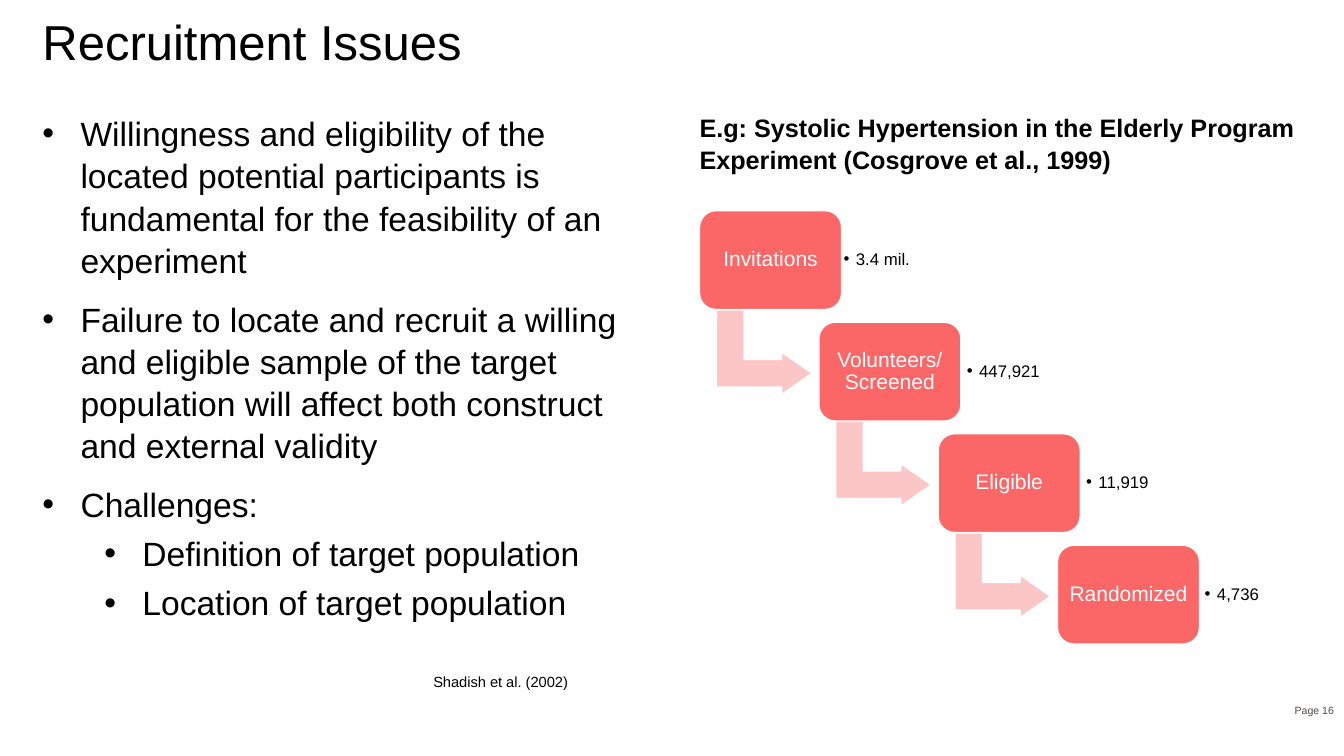
from dataclasses import dataclass

from lxml import etree
from pptx import Presentation
from pptx.dml.color import RGBColor
from pptx.enum.shapes import MSO_SHAPE
from pptx.enum.text import MSO_ANCHOR, PP_ALIGN
from pptx.oxml.ns import qn
from pptx.util import Cm, Pt

ROUNDED = MSO_SHAPE.ROUNDED_RECTANGLE
BENT_ARROW = MSO_SHAPE.BENT_UP_ARROW
TOP, MIDDLE, BOTTOM = MSO_ANCHOR.TOP, MSO_ANCHOR.MIDDLE, MSO_ANCHOR.BOTTOM
LEFT, CENTER, RIGHT = PP_ALIGN.LEFT, PP_ALIGN.CENTER, PP_ALIGN.RIGHT


@dataclass(frozen=True)
class Theme:
    """Colours, font and type sizes of the slide."""
    font: str = "Arial"
    ink: str = "000000"
    paper: str = "FFFFFF"
    step: str = "FB6666"
    arrow: str = "FDC6C6"
    muted: str = "524B48"
    title: float = 35
    body: float = 24
    heading: float = 18
    step_name: float = 15
    step_value: float = 12
    citation: float = 10.5
    page: float = 7.5


THEME = Theme()

BULLETS = [
    (0, "Willingness and eligibility of the located potential participants is "
        "fundamental for the feasibility of an experiment"),
    (0, "Failure to locate and recruit a willing and eligible sample of the target "
        "population will affect both construct and external validity"),
    (0, "Challenges:"),
    (1, "Definition of target population"),
    (1, "Location of target population"),
]
BULLET_INDENTS = (0.96, 2.52)
BULLET_SPACES = (11.5, 5)

STEPS = [
    ("Invitations", "3.4 mil.", 3.48),
    ("Volunteers/\nScreened", "447,921", 3.58),
    ("Eligible", "11,919", 3.58),
    ("Randomized", "4,736", 3.56),
]


def set_frame(shape, anchor=TOP, inset=0.0):
    """Set wrapping, anchor and equal insets, and return the text frame."""
    frame = shape.text_frame
    frame.word_wrap = True
    frame.vertical_anchor = anchor
    frame.margin_left = frame.margin_right = Cm(inset)
    frame.margin_top = frame.margin_bottom = Cm(inset)
    return frame


def add_text_box(slide, box, anchor=TOP, inset=0.0):
    """Add a text box at (left, top, width, height) and return its frame."""
    return set_frame(slide.shapes.add_textbox(*map(Cm, box)), anchor, inset)


def add_bullet(paragraph, indent, hanging):
    """Give a paragraph a round bullet with a hanging indent."""
    properties = paragraph._p.get_or_add_pPr()
    properties.set("marL", str(Cm(indent)))
    properties.set("indent", str(-Cm(hanging)))
    font = etree.SubElement(properties, qn("a:buFont"))
    font.set("typeface", THEME.font)
    bullet = etree.SubElement(properties, qn("a:buChar"))
    bullet.set("char", "•")


def write(paragraph, text, size, color=THEME.ink, bold=False, align=LEFT, spacing=1.0):
    """Write text into a paragraph, one run for each line."""
    paragraph.alignment = align
    paragraph.line_spacing = spacing
    for index, line in enumerate(text.split("\n")):
        if index:
            paragraph.add_line_break()
        run = paragraph.add_run()
        run.text = line
        run.font.name = THEME.font
        run.font.size = Pt(size)
        run.font.bold = bold
        run.font.color.rgb = RGBColor.from_string(color)


def add_filled_shape(slide, kind, box, fill):
    """Add a flat preset shape with a thin paper-coloured outline."""
    shape = slide.shapes.add_shape(kind, *map(Cm, box))
    shape.shadow.inherit = False
    shape.fill.solid()
    shape.fill.fore_color.rgb = RGBColor.from_string(fill)
    shape.line.color.rgb = RGBColor.from_string(THEME.paper)
    shape.line.width = Pt(1)
    return shape


def add_title(slide, box):
    """Place the slide title."""
    frame = add_text_box(slide, box)
    write(frame.paragraphs[0], "Recruitment Issues", THEME.title, spacing=0.9)


def add_bullet_list(slide, box):
    """Place the two-level list of recruitment issues."""
    frame = add_text_box(slide, box)
    for index, (level, text) in enumerate(BULLETS):
        paragraph = frame.add_paragraph() if index else frame.paragraphs[0]
        paragraph.level = level
        add_bullet(paragraph, BULLET_INDENTS[level], 0.96)
        if index:
            paragraph.space_before = Pt(BULLET_SPACES[level])
        write(paragraph, text, THEME.body, spacing=1.05)


def add_example_heading(slide, box):
    """Place the heading above the staircase."""
    frame = add_text_box(slide, box)
    write(frame.paragraphs[0],
          "E.g: Systolic Hypertension in the Elderly Program Experiment "
          "(Cosgrove et al., 1999)",
          THEME.heading, bold=True, spacing=1.05)


def add_staircase(slide, box):
    """Place the descending recruitment steps, their values and arrows."""
    left, top, width, height = box
    step_width, step_height = 3.58, 2.49
    last = len(STEPS) - 1
    shift_x = (width - step_width) / last
    shift_y = (height - step_height) / last
    for index, (name, value, value_offset) in enumerate(STEPS):
        x, y = left + index * shift_x, top + index * shift_y
        if index < last:
            arrow = add_filled_shape(slide, BENT_ARROW, (x + 0.56, y + 2.36, 2.13, 2.41),
                                     THEME.arrow)
            arrow.rotation = 90
            for position, amount in enumerate((0.328, 0.25, 0.358)):
                arrow.adjustments[position] = amount
        step = add_filled_shape(slide, ROUNDED, (x, y, step_width, step_height), THEME.step)
        step.adjustments[0] = 0.167
        frame = set_frame(step, MIDDLE, 0.15)
        write(frame.paragraphs[0], name, THEME.step_name, THEME.paper,
              align=CENTER, spacing=0.9)
        frame = add_text_box(slide, (x + value_offset, y + 0.23, 2.7, 2.03), MIDDLE, 0.15)
        add_bullet(frame.paragraphs[0], 0.31, 0.31)
        write(frame.paragraphs[0], value, THEME.step_value, spacing=0.9)


def add_page_number(slide, box):
    """Place the page number."""
    frame = add_text_box(slide, box, MIDDLE, 0.25)
    write(frame.paragraphs[0], "Page 16", THEME.page, THEME.muted, align=RIGHT)


def add_citation(slide, box):
    """Place the source of the list."""
    frame = add_text_box(slide, box, BOTTOM)
    write(frame.paragraphs[0], "Shadish et al. (2002)", THEME.citation)


def main():
    """Build and save the presentation."""
    presentation = Presentation()
    presentation.slide_width = Cm(33.87)
    presentation.slide_height = Cm(19.05)
    slide = presentation.slides.add_slide(presentation.slide_layouts[6])
    add_title(slide, (1.07, 0.46, 31.75, 2.08))
    add_bullet_list(slide, (1.07, 2.8, 15.2, 14.05))
    add_example_heading(slide, (17.63, 2.8, 15.2, 1.37))
    add_staircase(slide, (17.63, 5.31, 12.6, 10.92))
    add_page_number(slide, (32.2, 17.4, 1.67, 1.02))
    add_citation(slide, (10.92, 16.69, 4.17, 0.71))
    presentation.save("out.pptx")


if __name__ == "__main__":
    main()
